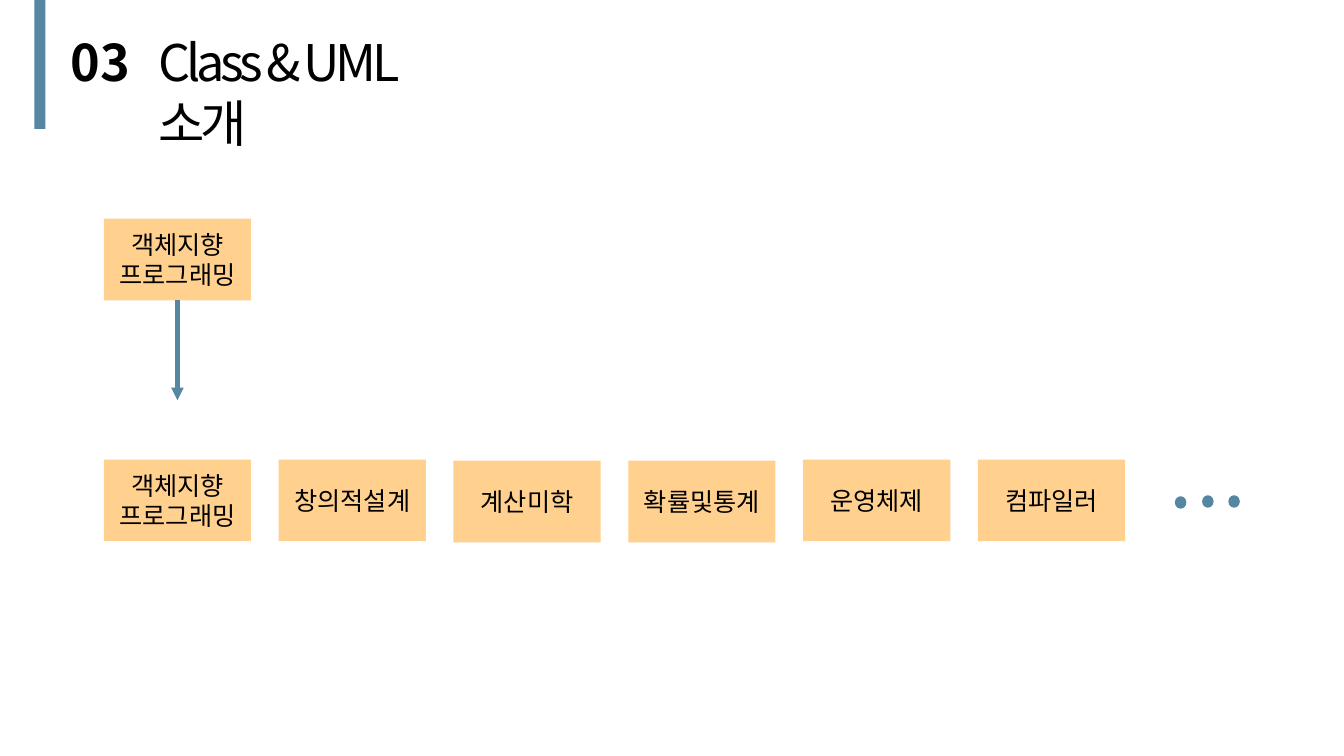
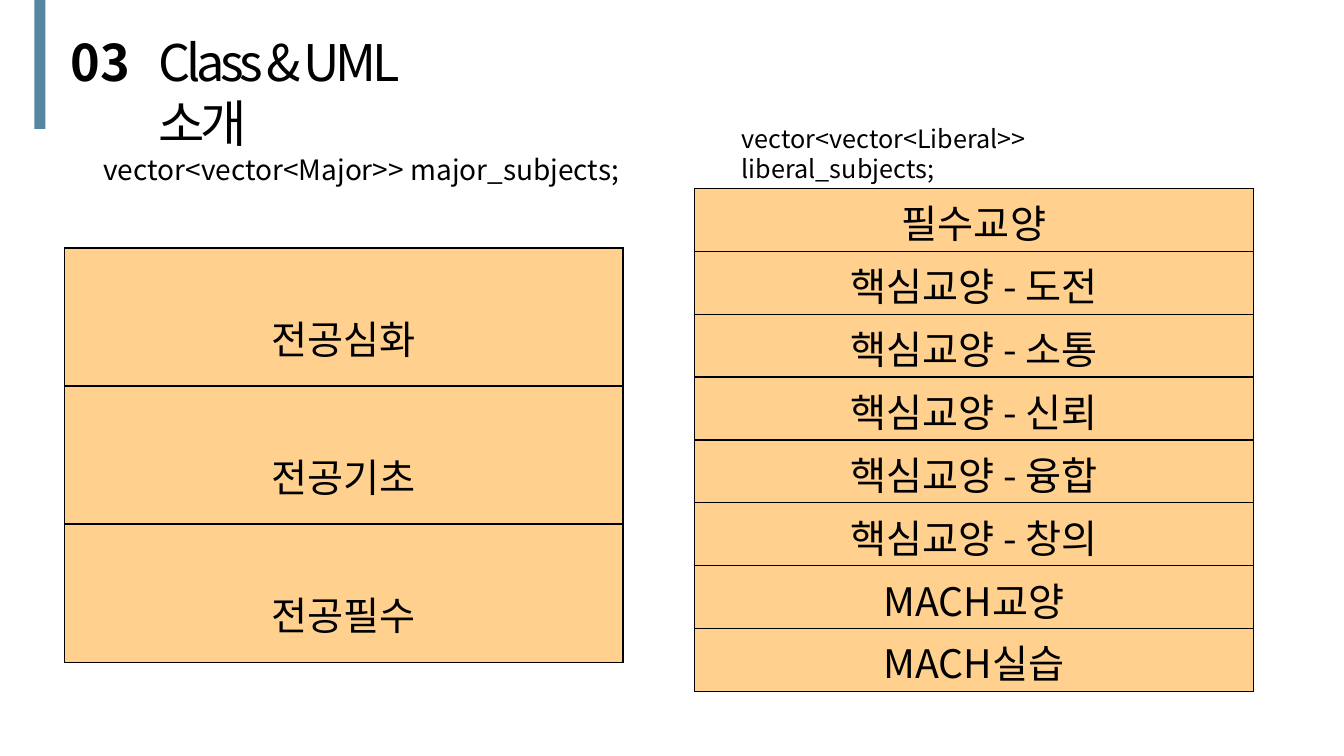
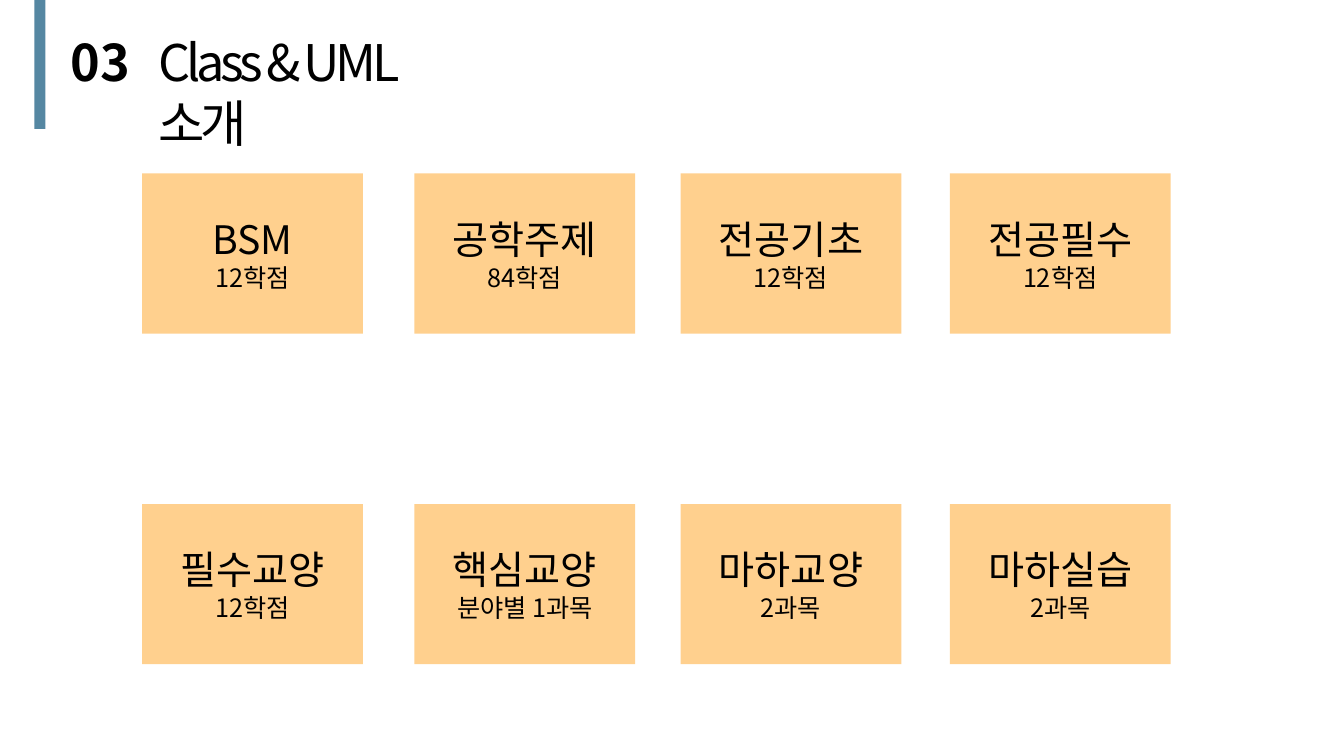
"""Build three slides introducing the classes of a course-credit program."""
from lxml.etree import SubElement
from pptx import Presentation
from pptx.dml.color import RGBColor
from pptx.enum.shapes import MSO_CONNECTOR, MSO_SHAPE
from pptx.enum.text import MSO_ANCHOR, MSO_AUTO_SIZE, PP_ALIGN
from pptx.oxml.ns import qn
from pptx.util import Inches, Pt

FONT = "Noto Sans CJK KR"
BLUE, ORANGE, BLACK = "5587A2", "FFD08E", "000000"


def write_text(frame, lines, sizes, bold=False, align=PP_ALIGN.LEFT,
               anchor=MSO_ANCHOR.TOP, tracking=None, exact=True):
    """Fill a text frame with one formatted paragraph per line."""
    frame.word_wrap = True
    frame.vertical_anchor = anchor
    for index, (line, size) in enumerate(zip(lines, sizes)):
        paragraph = frame.add_paragraph() if index else frame.paragraphs[0]
        paragraph.alignment = align
        if exact:
            paragraph.line_spacing = Pt(round(size * 1.2, 1))
        run = paragraph.add_run()
        run.text = line
        run.font.size = Pt(size)
        run.font.bold = bold
        run.font.name = FONT
        run.font.color.rgb = RGBColor.from_string(BLACK)
        properties = run._r.get_or_add_rPr()
        SubElement(properties, qn("a:ea"), typeface=FONT)
        if tracking is not None:
            properties.set("spc", str(tracking))


def add_block(slide, kind, left, top, width, height, color):
    """Add a flat filled shape without an outline."""
    shape = slide.shapes.add_shape(kind, Inches(left), Inches(top), Inches(width), Inches(height))
    shape.shadow.inherit = False
    shape.fill.solid()
    shape.fill.fore_color.rgb = RGBColor.from_string(color)
    shape.line.fill.background()
    return shape


presentation = Presentation()
presentation.slide_width = Inches(13.33)
presentation.slide_height = Inches(7.5)

slides = []
for _ in range(3):
    slide = presentation.slides.add_slide(presentation.slide_layouts[5])
    add_block(slide, MSO_SHAPE.RECTANGLE, 0.34, 0, 0.11, 1.28, BLUE)
    number = slide.shapes.add_textbox(Inches(0.6), Inches(0.26), Inches(0.79), Inches(0.71))
    write_text(number.text_frame, ["03"], [36], bold=True)
    title = slide.shapes.title
    title.left, title.top = Inches(1.47), Inches(0.26)
    title.width, title.height = Inches(3.34), Inches(0.71)
    title.text_frame.auto_size = MSO_AUTO_SIZE.NONE
    write_text(title.text_frame, ["Class & UML 소개"], [36], tracking=-300)
    slides.append(slide)
course_slide, table_slide, credit_slide = slides

first_course = ["객체지향", "프로그래밍"]
course_step = (9.7 - 1.03) / 5
courses = [
    (0, 2.17, first_course),
    (0, 4.56, first_course),
    (1, 4.56, ["창의적설계"]),
    (2, 4.57, ["계산미학"]),
    (3, 4.57, ["확률및통계"]),
    (4, 4.56, ["운영체제"]),
    (5, 4.56, ["컴파일러"]),
]
course_boxes = []
for column, top, lines in courses:
    box = add_block(course_slide, MSO_SHAPE.RECTANGLE, 1.03 + column * course_step, top,
                    1.46, 0.81, ORANGE)
    write_text(box.text_frame, lines, [18] * len(lines), align=PP_ALIGN.CENTER,
               anchor=MSO_ANCHOR.MIDDLE)
    course_boxes.append(box)

arrow = course_slide.shapes.add_connector(
    MSO_CONNECTOR.STRAIGHT, Inches(1.76), Inches(2.98), Inches(1.76), Inches(3.97))
arrow.begin_connect(course_boxes[0], 2)
arrow.line.color.rgb = RGBColor.from_string(BLUE)
arrow.line.width = Pt(3)
SubElement(arrow.line._get_or_add_ln(), qn("a:tailEnd"), type="triangle")
SubElement(arrow._element.spPr, qn("a:effectLst"))

for left, top in [(11.66, 4.93), (11.93, 4.92), (12.19, 4.92)]:
    dot = add_block(course_slide, MSO_SHAPE.FLOWCHART_CONNECTOR, left, top, 0.1, 0.11, BLUE)
    dot.line.color.rgb = RGBColor.from_string(BLUE)
    dot.line.width = Pt(1)

declarations = [
    ("vector<vector<Major>> major_subjects;", 20, PP_ALIGN.CENTER, 0.6, 1.46, 5.97, 0.44),
    ("vector<vector<Liberal>> liberal_subjects;", 18, PP_ALIGN.LEFT, 7.26, 1.17, 4.8, 0.4),
]
for text, size, align, left, top, width, height in declarations:
    label = table_slide.shapes.add_textbox(
        Inches(left), Inches(top), Inches(width), Inches(height))
    write_text(label.text_frame, [text], [size], align=align)

core_areas = ["도전", "소통", "신뢰", "융합", "창의"]
liberal_rows = ["필수교양", *[f"핵심교양 - {area}" for area in core_areas], "MACH교양", "MACH실습"]
tables = [
    (0.64, 2.46, 4.11, 0.61, ["전공심화", "전공기초", "전공필수"]),
    (6.89, 1.87, 4.99, 0.05, liberal_rows),
]
for left, top, height, margin_top, rows in tables:
    table = table_slide.shapes.add_table(
        len(rows), 1, Inches(left), Inches(top), Inches(5.54), Inches(height)).table
    table.first_row = False
    table.horz_banding = False
    for index, text in enumerate(rows):
        table.rows[index].height = Inches(height / len(rows))
        cell = table.cell(index, 0)
        cell.margin_top = Inches(margin_top)
        cell.margin_bottom = 0
        for side in ("lnL", "lnR", "lnT", "lnB"):
            border = SubElement(cell._tc.get_or_add_tcPr(), qn(f"a:{side}"), w=str(Pt(1)))
            border_fill = SubElement(border, qn("a:solidFill"))
            SubElement(border_fill, qn("a:srgbClr"), val=BLACK)
        cell.fill.solid()
        cell.fill.fore_color.rgb = RGBColor.from_string(ORANGE)
        write_text(cell.text_frame, [text], [28], align=PP_ALIGN.CENTER, exact=False)

credit_rows = [
    (1.72, [("BSM", "12학점"), ("공학주제", "84학점"), ("전공기초", "12학점"), ("전공필수", "12학점")]),
    (5, [("필수교양", "12학점"), ("핵심교양", "분야별 1과목"), ("마하교양", "2과목"), ("마하실습", "2과목")]),
]
for top, credits in credit_rows:
    for left, lines in zip([1.41, 4.11, 6.75, 9.42], credits):
        box = add_block(credit_slide, MSO_SHAPE.RECTANGLE, left, top, 2.19, 1.59, ORANGE)
        write_text(box.text_frame, lines, [28, 18], align=PP_ALIGN.CENTER,
                   anchor=MSO_ANCHOR.MIDDLE)

presentation.save("out.pptx")
